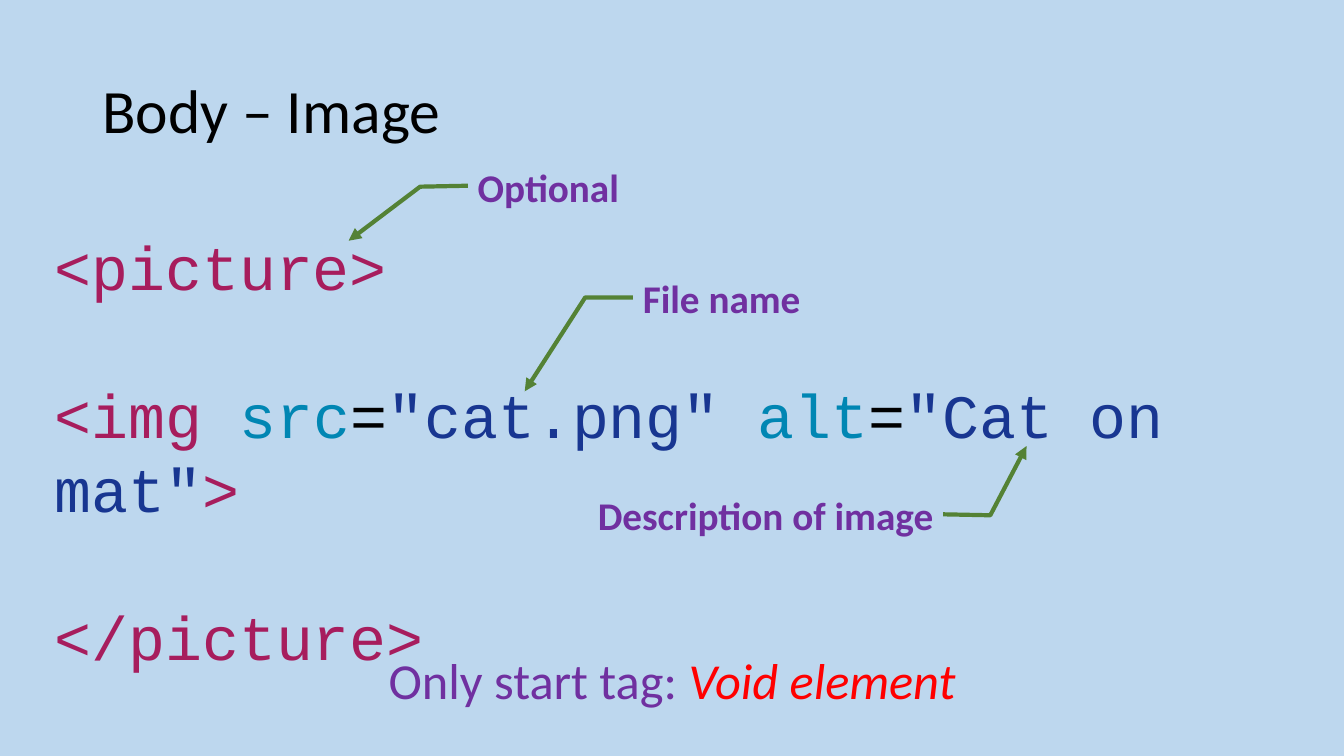
from lxml import etree
from pptx import Presentation
from pptx.dml.color import RGBColor
from pptx.enum import shapes, text
from pptx.oxml import ns
from pptx.util import Cm, Pt

SKY = RGBColor(0xBD, 0xD7, 0xEE)
BLACK = RGBColor(0, 0, 0)
GREEN = RGBColor(0x54, 0x82, 0x35)
PURPLE = RGBColor(0x70, 0x30, 0xA0)
RED = RGBColor(0xFF, 0, 0)
TAG = RGBColor(0xA7, 0x1D, 0x5D)
ATTRIBUTE = RGBColor(0x00, 0x86, 0xB3)
STRING = RGBColor(0x18, 0x36, 0x91)

CODE_LINES = [
    [("<picture>", TAG)],
    [("<img ", TAG), ("src", ATTRIBUTE), ("=", BLACK), ('"cat.png" ', STRING),
     ("alt", ATTRIBUTE), ("=", BLACK), ('"Cat on mat"', STRING), (">", TAG)],
    [("</picture>", TAG)],
]


def add_run(paragraph, words, size, color, font="Calibri", bold=False, italic=False):
    run = paragraph.add_run()
    run.text = words
    run.font.name = font
    run.font.size = Pt(size)
    run.font.color.rgb = color
    run.font.bold = bold
    run.font.italic = italic


def add_text_frame(slide, left, top, width, height):
    box = slide.shapes.add_textbox(Cm(left), Cm(top), Cm(width), Cm(height))
    box.text_frame.word_wrap = True
    return box.text_frame


def add_title(slide, words):
    frame = add_text_frame(slide, 2.33, 1.02, 29.21, 3.68)
    frame.vertical_anchor = text.MSO_ANCHOR.MIDDLE
    heading = frame.paragraphs[0]
    heading.line_spacing = 0.9
    add_run(heading, words, 44, BLACK)


def add_code(slide, lines):
    frame = add_text_frame(slide, 1.12, 5.64, 31.62, 9.65)
    frame.auto_size = text.MSO_AUTO_SIZE.SHAPE_TO_FIT_TEXT
    for index, tokens in enumerate(lines):
        line = frame.add_paragraph() if index else frame.paragraphs[0]
        if index:
            line.space_before = Pt(53)
        for words, color in tokens:
            add_run(line, words, 44, color, "Courier New")


def add_callout(slide, words, left, top, width, leader, mirrored=False):
    """Draw a label whose leader runs through (y, x) fractions of its box."""
    callout = slide.shapes.add_shape(
        shapes.MSO_SHAPE.LINE_CALLOUT_2_NO_BORDER, Cm(left), Cm(top), Cm(width), Cm(2.39))
    callout.shadow.inherit = False
    callout.fill.background()
    callout.line.color.rgb = GREEN
    callout.line.width = Pt(3)
    etree.SubElement(callout.line._get_or_add_ln(), ns.qn("a:tailEnd"), type="triangle")
    for index, fraction in enumerate(leader):
        callout.adjustments[index] = fraction
    if mirrored:
        callout._element.spPr.xfrm.set("flipH", "1")
    callout.text_frame.vertical_anchor = text.MSO_ANCHOR.MIDDLE
    label = callout.text_frame.paragraphs[0]
    label.alignment = text.PP_ALIGN.RIGHT if mirrored else text.PP_ALIGN.LEFT
    add_run(label, words, 28, PURPLE, bold=True)


def add_void_note(slide):
    frame = add_text_frame(slide, 9.47, 16.23, 14.94, 1.8)
    note = frame.paragraphs[0]
    note.alignment = text.PP_ALIGN.CENTER
    add_run(note, "Only start tag: ", 36, PURPLE)
    add_run(note, "Void element", 36, RED, italic=True)


def main():
    deck = Presentation()
    deck.slide_width, deck.slide_height = Cm(33.87), Cm(19.05)
    slide = deck.slides.add_slide(deck.slide_layouts[6])
    slide.background.fill.solid()
    slide.background.fill.fore_color.rgb = SKY

    add_title(slide, "Body – Image")
    add_code(slide, CODE_LINES)
    add_callout(slide, "File name", 15.95, 6.3, 4.62,
                (0.5, 0, 0.5, -0.26, 1.49, -0.59))
    add_void_note(slide)
    add_callout(slide, "Description of image", 14.63, 11.79, 9.14,
                (0.49, 0, 0.5, -0.13, -0.23, -0.23), mirrored=True)
    add_callout(slide, "Optional", 11.79, 3.51, 4.62,
                (0.49, 0, 0.5, -0.26, 1.07, -0.65))
    deck.save("out.pptx")


if __name__ == "__main__":
    main()
